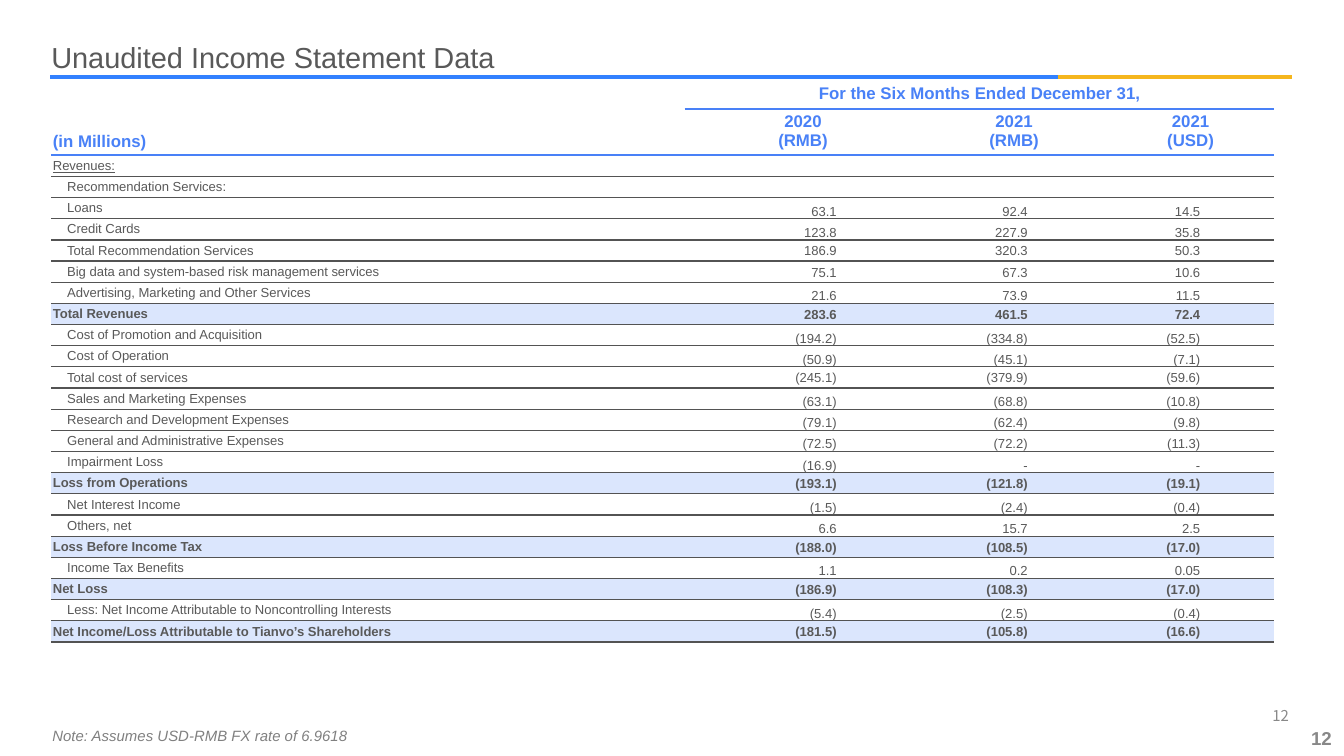
from lxml import etree
from pptx import Presentation
from pptx import util as u
from pptx.dml.color import RGBColor
from pptx.enum import shapes, text
from pptx.oxml.ns import qn

Cm, Pt = u.Cm, u.Pt
ALIGN, ANCHOR = text.PP_ALIGN, text.MSO_ANCHOR
BLUE, GREY, RULE = "4981F7", "595959", "535353"


def color(value):
    return RGBColor.from_string(value)


def write(frame, lines, size, ink, align=ALIGN.LEFT, anchor=ANCHOR.MIDDLE,
          margins=(0, 0, 0, 0), bold=False, italic=False, underline=False, face="Arial"):
    frame.margin_left, frame.margin_top, frame.margin_right, frame.margin_bottom = map(Cm, margins)
    frame.vertical_anchor = anchor
    paragraph = frame.paragraphs[0] if hasattr(frame, "paragraphs") else frame.text_frame.paragraphs[0]
    paragraph.alignment = align
    for i, line in enumerate(lines):
        if i:
            paragraph.add_line_break()
        run = paragraph.add_run()
        run.text = line
        run.font.name, run.font.size = face, Pt(size)
        run.font.bold, run.font.italic, run.font.underline = bold, italic, underline
        run.font.color.rgb = color(ink)
    if not lines:
        etree.SubElement(paragraph._p, qn("a:endParaRPr"), sz=str(round(size * 100)))


prs = Presentation()
prs.slide_width, prs.slide_height = Cm(25.4), Cm(14.29)
slide = prs.slides.add_slide(prs.slide_layouts[6])

for start, end, ink in [(0.95, 20.02, "3281FF"), (20, 24.41, "F5B61D")]:
    title_rule = slide.shapes.add_connector(
        shapes.MSO_CONNECTOR.STRAIGHT, Cm(start), Cm(1.45), Cm(end), Cm(1.45))
    title_rule.line.color.rgb = color(ink)
    title_rule.line.width = Pt(2)
    etree.SubElement(title_rule._element.spPr, qn("a:effectLst"))

captions = [
    ((20.12, 13.36, 4.24, 0.33), "12",
     dict(size=8, ink="888888", align=ALIGN.RIGHT, anchor=ANCHOR.TOP, face="Noto Sans CJK SC")),
    ((23.14, 13.67, 2.11, 0.58), "12",
     dict(size=10, ink="888888", align=ALIGN.RIGHT, margins=(0.08,) * 4, bold=True)),
    ((0.97, 0.74, 17.09, 0.69), "Unaudited Income Statement Data",
     dict(size=15.5, ink=GREY, anchor=ANCHOR.TOP)),
    ((0.99, 13.59, 23.47, 0.61), "Note: Assumes USD-RMB FX rate of 6.9618",
     dict(size=8, ink="808080", anchor=ANCHOR.BOTTOM, margins=(0, 0.13, 0.25, 0.13), italic=True)),
]
for place, caption, style in captions:
    frame = slide.shapes.add_textbox(*map(Cm, place)).text_frame
    frame.word_wrap = True
    write(frame, [caption], **style)

# kind of row: "head", "item" (values low), "sum" (values centred), "total" (shaded)
statement = [
    ("head", "Revenues:"),
    ("item", "Recommendation Services:"),
    ("item", "Loans", "63.1", "92.4", "14.5"),
    ("item", "Credit Cards", "123.8", "227.9", "35.8"),
    ("sum", "Total Recommendation Services", "186.9", "320.3", "50.3"),
    ("sum", "Big data and system-based risk management services", "75.1", "67.3", "10.6"),
    ("item", "Advertising, Marketing and Other Services", "21.6", "73.9", "11.5"),
    ("total", "Total Revenues", "283.6", "461.5", "72.4"),
    ("item", "Cost of Promotion and Acquisition", "(194.2)", "(334.8)", "(52.5)"),
    ("item", "Cost of Operation", "(50.9)", "(45.1)", "(7.1)"),
    ("sum", "Total cost of services", "(245.1)", "(379.9)", "(59.6)"),
    ("item", "Sales and Marketing Expenses", "(63.1)", "(68.8)", "(10.8)"),
    ("item", "Research and Development Expenses", "(79.1)", "(62.4)", "(9.8)"),
    ("item", "General and Administrative Expenses", "(72.5)", "(72.2)", "(11.3)"),
    ("item", "Impairment Loss", "(16.9)", "-", "-"),
    ("total", "Loss from Operations", "(193.1)", "(121.8)", "(19.1)"),
    ("item", "Net Interest Income", "(1.5)", "(2.4)", "(0.4)"),
    ("item", "Others, net", "6.6", "15.7", "2.5"),
    ("total", "Loss Before Income Tax", "(188.0)", "(108.5)", "(17.0)"),
    ("item", "Income Tax Benefits", "1.1", "0.2", "0.05"),
    ("total", "Net Loss", "(186.9)", "(108.3)", "(17.0)"),
    ("item", "Less: Net Income Attributable to Noncontrolling Interests", "(5.4)", "(2.5)", "(0.4)"),
    ("total", "Net Income/Loss Attributable to Tianvo’s Shareholders", "(181.5)", "(105.8)", "(16.6)"),
]
widths = [11.97, 4.47, 3.51, 3.16]
heights = [0.61, 0.87] + [0.4] * len(statement)
income = slide.shapes.add_table(len(heights), len(widths), Cm(0.97), Cm(1.45),
                                Cm(sum(widths)), Cm(sum(heights))).table
income.first_row = income.horz_banding = False
income._tbl.tblPr.find(qn("a:tableStyleId")).text = "{2D5ABB26-0587-4C30-8999-92F81FD0307C}"
for column, width in zip(income.columns, widths):
    column.width = Cm(width)
for row, height in zip(income.rows, heights):
    row.height = Cm(height)

period = income.cell(0, 1)
period.merge(income.cell(0, 3))
write(income.cell(0, 0), [], 7, GREY)
write(period, ["For the Six Months Ended December 31,"], 9, BLUE, ALIGN.CENTER,
      margins=(0.03, 0.06, 0.03, 0.03), bold=True)
write(income.cell(1, 0), ["(in Millions)"], 9, BLUE, anchor=ANCHOR.BOTTOM,
      margins=(0.03, 0.03, 0.03, 0.08), bold=True)
for c, heading in enumerate([("2020", "(RMB)"), ("2021", "(RMB)"), ("2021", "(USD)")], 1):
    write(income.cell(1, c), heading, 9, BLUE, ALIGN.CENTER,
          margins=(0.03, 0.03, 0.03, 0.08), bold=True)

for r, (kind, label, *values) in enumerate(statement, 2):
    indent = 0.3 if kind in ("item", "sum") else 0.03
    write(income.cell(r, 0), [label], 7, GREY, margins=(indent, 0.05, 0.03, 0.05),
          bold=kind == "total", underline=kind == "head")
    for c, right in enumerate([1.6, 1.5, 1.4], 1):
        write(income.cell(r, c), values[c - 1:c], 7, GREY, ALIGN.RIGHT,
              ANCHOR.BOTTOM if kind == "item" else ANCHOR.MIDDLE,
              (0.03, 0.03, right, 0), kind == "total")

edges = [(BLUE, 1), (BLUE, 1.5)] + [(RULE, 0.75)] * len(statement)
for r in range(len(heights)):
    for c in range(len(widths)):
        cell = income.cell(r, c)
        properties = cell._tc.get_or_add_tcPr()
        for side, edge in (("a:lnT", r - 1), ("a:lnB", r)):
            if edge < 0 or (edge == 0 and c == 0):
                continue
            ink, weight = edges[edge]
            border = etree.SubElement(properties, qn(side), w=str(Pt(weight)))
            solid = etree.SubElement(border, qn("a:solidFill"))
            etree.SubElement(solid, qn("a:srgbClr"), val=ink)
        if r > 1 and statement[r - 2][0] == "total":
            cell.fill.solid()
            cell.fill.fore_color.rgb = color("DBE6FD")
        else:
            cell.fill.background()

prs.save("out.pptx")
